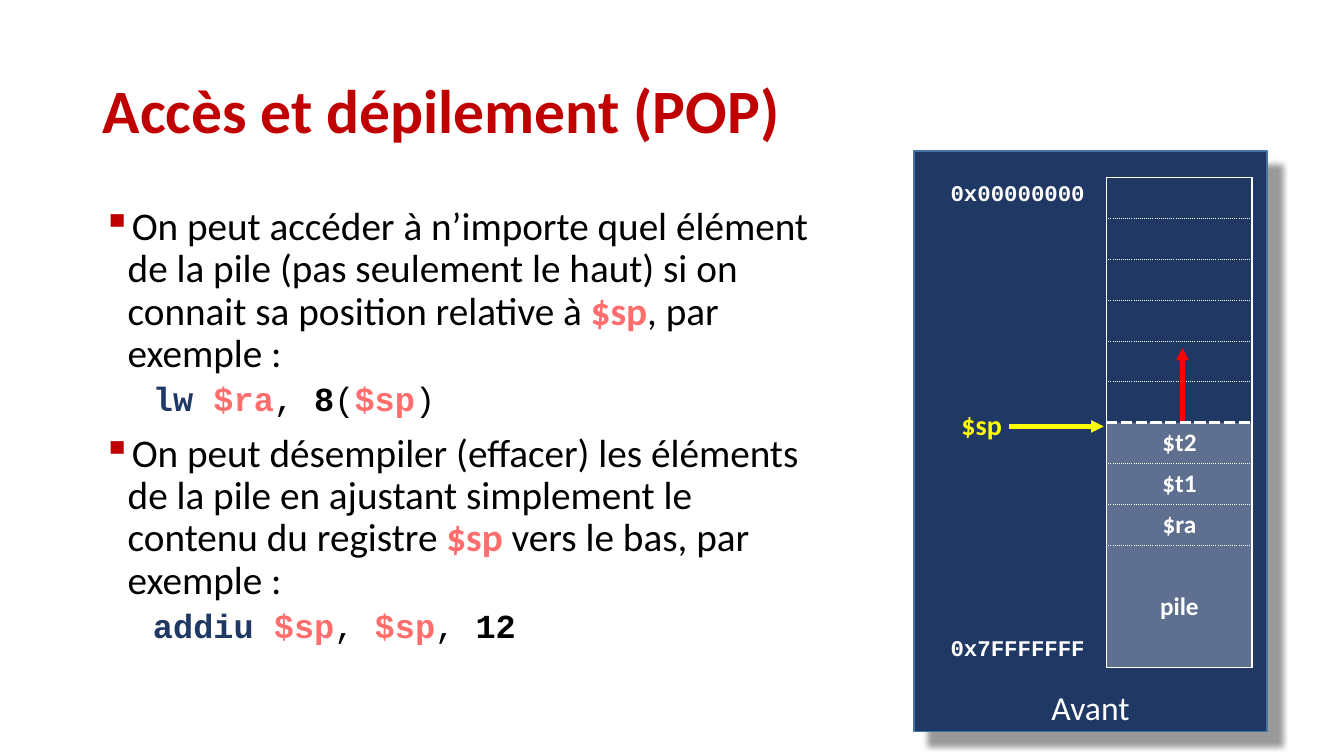
from dataclasses import dataclass
from typing import Optional

from lxml.etree import SubElement
from pptx import Presentation
from pptx.dml.color import RGBColor
from pptx.enum.dml import MSO_LINE
from pptx.enum.shapes import MSO_CONNECTOR, MSO_SHAPE
from pptx.enum.text import MSO_ANCHOR, MSO_AUTO_SIZE, PP_ALIGN
from pptx.oxml import parse_xml
from pptx.oxml.ns import nsdecls, qn
from pptx.util import Pt

HUES = {"title": "C00000", "text": "000000", "reg": "FF6D6D", "navy": "203864",
        "edge": "43739E", "white": "FFFFFF", "sp": "FFFF00", "pop": "FF0000"}
SANS, MONO = "Calibri", "Courier New"


@dataclass
class Bit:
    text: str
    hue: str = "text"
    bold: bool = False


@dataclass
class Para:
    bits: list[Bit]
    code: bool = False


@dataclass
class Arrow:
    start: tuple[float, float]
    end: tuple[float, float]
    hue: str


@dataclass
class Edge:
    width: float
    dash: str = "solid"


@dataclass
class Label:
    row: int
    col: int
    text: str
    anchor: MSO_ANCHOR = MSO_ANCHOR.TOP


def reg(name: str) -> Bit:
    return Bit(name, "reg", True)


BODY = [
    Para([Bit("On peut accéder à n’importe quel élément de la pile (pas seulement le haut) "
              "si on connait sa position relative à "),
          reg("$sp"), Bit(", par exemple :")]),
    Para([Bit("lw ", "navy", True), reg("$ra"), Bit(", "), Bit("8", bold=True),
          Bit("("), reg("$sp"), Bit(")")], code=True),
    Para([Bit("On peut désempiler (effacer) les éléments de la pile en ajustant simplement "
              "le contenu du registre "),
          reg("$sp"), Bit(" vers le bas, par exemple :")]),
    Para([Bit("addiu ", "navy", True), reg("$sp"), Bit(", "), reg("$sp"), Bit(", "),
          Bit("12", bold=True)], code=True),
]
ROWS, TOP, PILE = 12, 6, 9  # row count, top of the stack, first row of "pile"
LABELS = [
    Label(0, 0, "0x00000000"),
    Label(6, 1, "$t2"),
    Label(7, 1, "$t1"),
    Label(8, 1, "$ra"),
    Label(PILE, 1, "pile", MSO_ANCHOR.MIDDLE),
    Label(ROWS - 1, 0, "0x7FFFFFFF", MSO_ANCHOR.BOTTOM),
]
ARROWS = [Arrow((720.7, 304.6), (788.4, 304.6), "sp"),
          Arrow((844.6, 301), (844.6, 248.4), "pop")]


def color(hue: str) -> RGBColor:
    return RGBColor.from_string(HUES[hue])


def write(para, bit: Bit, size: float, face: str) -> None:
    run = para.add_run()
    run.text = bit.text
    font = run.font
    font.size, font.name, font.bold = Pt(size), face, bit.bold
    font.color.rgb = color(bit.hue)


def fill_body(frame, paras: list[Para]) -> None:
    for i, item in enumerate(paras):
        para = frame.paragraphs[0] if i == 0 else frame.add_paragraph()
        para.line_spacing = 0.9
        if i:
            para.space_before = Pt(5 if item.code else 10)
        props = para._p.get_or_add_pPr()
        props.set("marL", str(Pt(36 if item.code else 18)))
        props.set("indent", str(Pt(0 if item.code else -18)))
        if item.code:
            para.level = 1
            SubElement(props, qn("a:buNone"))
        else:
            tint = SubElement(props, qn("a:buClr"))
            SubElement(tint, qn("a:srgbClr")).set("val", HUES["title"])
            SubElement(props, qn("a:buChar")).set("char", "▪")
        for bit in item.bits:
            write(para, bit, 24 if item.code else 28, MONO if item.code else SANS)


def add_arrow(shapes, arrow: Arrow) -> None:
    line = shapes.add_connector(MSO_CONNECTOR.STRAIGHT, *map(Pt, arrow.start + arrow.end))
    line.line.width = Pt(3)
    line.line.color.rgb = color(arrow.hue)
    SubElement(line.line._get_or_add_ln(), qn("a:tailEnd")).set("type", "triangle")
    SubElement(line._element.spPr, qn("a:effectLst"))


def set_edges(cell, edges: dict[str, Edge]) -> None:
    props = cell._tc.get_or_add_tcPr()
    for i, side in enumerate("LRTB"):
        edge = edges[side]
        props.insert(i, parse_xml(
            f'<a:ln{side} {nsdecls("a")} w="{Pt(edge.width)}"><a:solidFill>'
            f'<a:srgbClr val="{HUES["white"]}"/></a:solidFill>'
            f'<a:prstDash val="{edge.dash}"/></a:ln{side}>'))


def rule(row: int) -> Edge:
    """Border above the given row of the stack column."""
    if row in (0, PILE + 1):
        return Edge(1)
    if row == TOP:
        return Edge(2.25, "lgDash")
    return Edge(0.5, "sysDot" if row < TOP else "dot")


def add_stack(shapes) -> None:
    frame = shapes.add_table(ROWS, 2, Pt(671.8), Pt(126.7), Pt(222.5), Pt(350.6))
    grid = frame.table
    grid.first_row = grid.horz_banding = False
    # Plain style without grid lines
    grid._tbl.tblPr.find(qn("a:tableStyleId")).text = "{2D5ABB26-0587-4C30-8999-92F81FD0307C}"
    for col, width in zip(grid.columns, (118.8, 103.7)):
        col.width = Pt(width)
    for i, row in enumerate(grid.rows):
        row.height = Pt(29.22)
        for cell in row.cells:
            cell.fill.background()
        if i <= PILE:
            cell = grid.cell(i, 1)
            if i >= TOP:
                cell.fill.solid()
                cell.fill.fore_color.rgb = color("white")
                tint = cell._tc.tcPr.find(".//" + qn("a:srgbClr"))
                SubElement(tint, qn("a:alpha")).set("val", "28000")
            set_edges(cell, {"L": Edge(1), "R": Edge(1), "T": rule(i), "B": rule(i + 1)})
    grid.cell(PILE, 1).merge(grid.cell(ROWS - 1, 1))
    for label in LABELS:
        cell = grid.cell(label.row, label.col)
        cell.vertical_anchor = label.anchor
        para = cell.text_frame.paragraphs[0]
        para.alignment = PP_ALIGN.CENTER if label.col else PP_ALIGN.LEFT
        write(para, Bit(label.text, "white", True),
              18 if label.col else 16, SANS if label.col else MONO)


def add_panel(shapes) -> None:
    panel = shapes.add_shape(MSO_SHAPE.RECTANGLE, Pt(653), Pt(108), Pt(252), Pt(414.7))
    panel.fill.solid()
    panel.fill.fore_color.rgb = color("navy")
    panel.line.color.rgb = color("edge")
    panel.line.width = Pt(1)
    panel.line.dash_style = MSO_LINE.SOLID
    panel._element.spPr.append(parse_xml(
        f'<a:effectLst {nsdecls("a")}><a:outerShdw blurRad="{Pt(4)}" dist="{Pt(14)}" '
        'dir="2700000" algn="tl" rotWithShape="0"><a:srgbClr val="000000">'
        '<a:alpha val="40000"/></a:srgbClr></a:outerShdw></a:effectLst>'))
    frame = panel.text_frame
    frame.vertical_anchor = MSO_ANCHOR.BOTTOM
    frame.paragraphs[0].alignment = PP_ALIGN.CENTER
    write(frame.paragraphs[0], Bit("Avant", "white"), 24, SANS)


def add_text(shapes, left: float, top: float, width: float, height: float,
             wrap: Optional[bool] = True):
    frame = shapes.add_textbox(Pt(left), Pt(top), Pt(width), Pt(height)).text_frame
    frame.word_wrap = wrap
    return frame


def main() -> None:
    deck = Presentation()
    deck.slide_width, deck.slide_height = Pt(960), Pt(540)
    shapes = deck.slides.add_slide(deck.slide_layouts[5]).shapes

    # Title
    title = shapes.title
    title.left, title.top, title.width, title.height = map(Pt, (66.2, 28.8, 828, 104.4))
    frame = title.text_frame
    frame.auto_size = MSO_AUTO_SIZE.NONE
    frame.vertical_anchor = MSO_ANCHOR.MIDDLE
    para = frame.paragraphs[0]
    para.alignment, para.line_spacing = PP_ALIGN.LEFT, 0.9
    write(para, Bit("Accès et dépilement (POP)", "title", True), 44, SANS)

    # Explanation
    fill_body(add_text(shapes, 66.2, 144, 522.7, 342.7), BODY)

    # Stack diagram
    add_panel(shapes)
    add_stack(shapes)
    for arrow in ARROWS:
        add_arrow(shapes, arrow)
    note = add_text(shapes, 679.7, 287.3, 46.1, 31.7, wrap=False)
    write(note.paragraphs[0], Bit("$sp", "sp", True), 20, SANS)

    deck.save("out.pptx")


if __name__ == "__main__":
    main()
